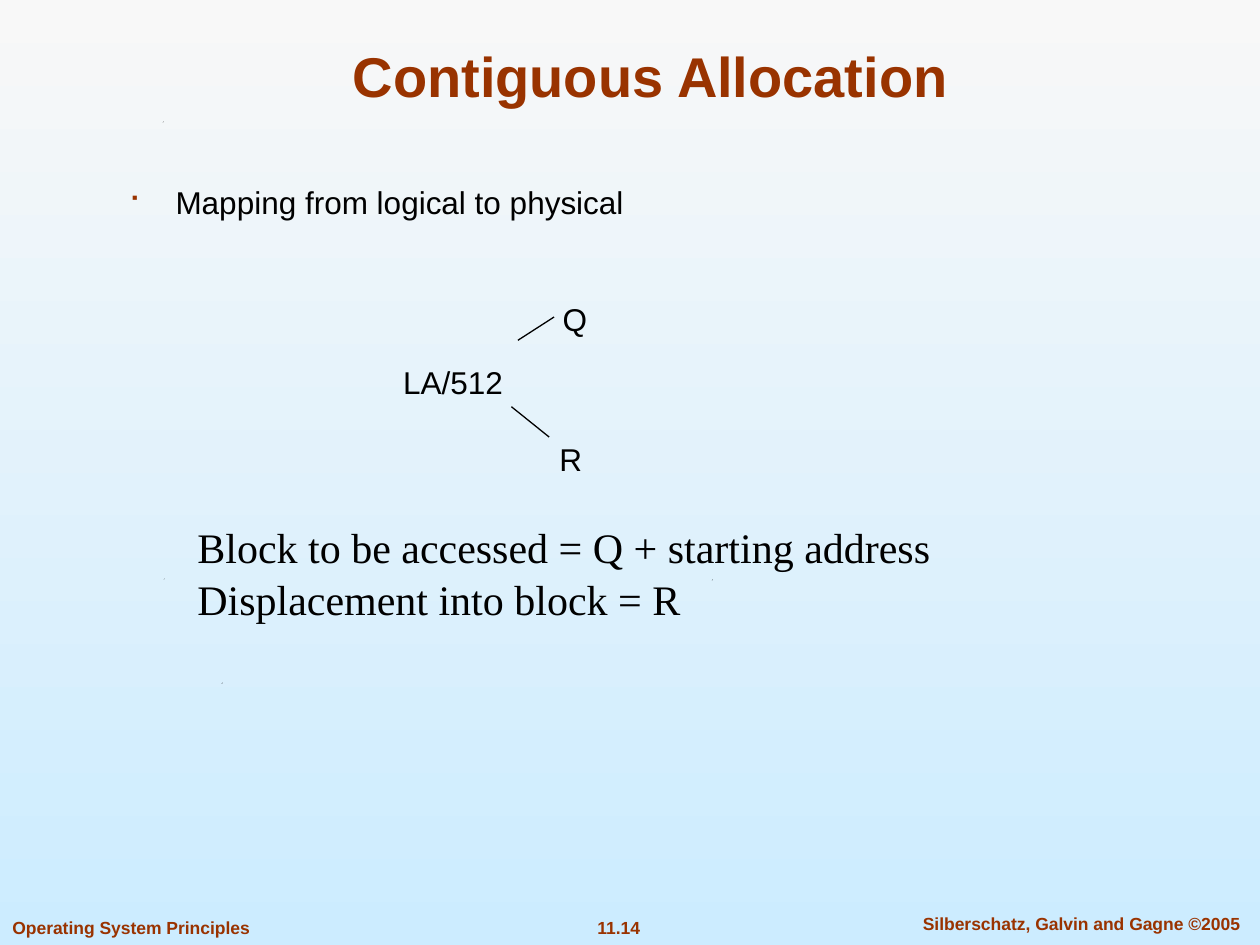
from lxml import etree
from pptx import Presentation
from pptx.dml.color import RGBColor
from pptx.enum.shapes import MSO_CONNECTOR
from pptx.enum.text import MSO_ANCHOR, PP_ALIGN
from pptx.oxml.ns import qn
from pptx.util import Cm, Pt

STRAIGHT = MSO_CONNECTOR.STRAIGHT
TOP, MIDDLE, BOTTOM = MSO_ANCHOR.TOP, MSO_ANCHOR.MIDDLE, MSO_ANCHOR.BOTTOM
LEFT, CENTER = PP_ALIGN.LEFT, PP_ALIGN.CENTER
RUST, BLACK = "993300", "000000"


def color(value):
    return RGBColor.from_string(value)


def add_text(box, lines, size, ink, bold=False, align=CENTER, anchor=TOP,
             face="Arial", margin=0, indent=0, bullet=None):
    frame = slide.shapes.add_textbox(*map(Cm, box)).text_frame
    frame.word_wrap = True
    frame.vertical_anchor = anchor
    frame.text = "\n".join(lines)
    for paragraph in frame.paragraphs:
        properties = paragraph._p.get_or_add_pPr()
        properties.set("marL", str(Cm(margin)))
        properties.set("indent", str(Cm(indent)))
        if bullet:
            tint = etree.SubElement(properties, qn("a:buClr"))
            etree.SubElement(tint, qn("a:srgbClr"), val=RUST)
            etree.SubElement(properties, qn("a:buSzPct"), val="90000")
            etree.SubElement(properties, qn("a:buFont"), typeface="Wingdings")
            etree.SubElement(properties, qn("a:buChar"), char=bullet)
        paragraph.alignment = align
        paragraph.font.size = Pt(size)
        paragraph.font.name = face
        paragraph.font.bold = bold
        paragraph.font.color.rgb = color(ink)
    return frame


deck = Presentation()
deck.slide_width, deck.slide_height = Cm(25.4), Cm(19.05)
slide = deck.slides.add_slide(deck.slide_layouts[6])

backdrop = slide.background.fill
backdrop.gradient()
backdrop.gradient_angle = 270
for stop, tone, position in zip(backdrop.gradient_stops, ("F8F8F8", "CCECFF"), (0, 1)):
    stop.color.rgb = color(tone)
    stop.position = position

for x, y in ((4.47, 13.78), (3.3, 11.68), (14.35, 11.7), (3.28, 2.47)):
    outline = slide.shapes.build_freeform(Cm(x), Cm(y))
    outline.add_line_segments([(Cm(x + 0.02), Cm(y - 0.02)), (Cm(x + 0.01), Cm(y))])
    speck = outline.convert_to_shape()
    speck.shadow.inherit = False
    speck.fill.solid()
    speck.fill.fore_color.rgb = color(BLACK)
    speck.line.fill.background()

for box, footer, align in (
    ((0, 18.37, 5.8, 0.68), "Operating System Principles", LEFT),
    ((11.13, 18.37, 2.69, 0.68), "11.14", CENTER),
    ((18.03, 18.29, 7.54, 0.68), "Silberschatz, Galvin and Gagne ©2005", CENTER),
):
    add_text(box, [footer], 10, RUST, bold=True, align=align)

add_text((1.9, 0.62, 22.43, 1.7), ["Contiguous Allocation"], 32, RUST,
         bold=True, anchor=BOTTOM)
add_text((2.34, 3.56, 18.24, 9.6), ["Mapping from logical to physical"], 18, BLACK,
         align=LEFT, margin=0.95, indent=-0.95, bullet="■")

for box, term in (
    ((7.38, 7.19, 3.51, 1.02), "LA/512"),
    ((10.47, 5.92, 2.24, 1.02), "Q"),
    ((10.63, 8.74, 1.75, 1.02), "R"),
):
    add_text(box, [term], 18, BLACK, anchor=MIDDLE)

for ends in ((10.44, 6.86, 11.17, 6.39), (10.31, 8.2, 11.07, 8.81)):
    branch = slide.shapes.add_connector(STRAIGHT, *map(Cm, ends))
    branch.line.color.rgb = color(BLACK)
    branch.line.width = Pt(0.75)
    etree.SubElement(branch._element.spPr, qn("a:effectLst"))

formulas = add_text(
    (2.46, 10.33, 19.53, 2.29),
    ["Block to be accessed = Q + starting address", "Displacement into block = R"],
    24, BLACK, align=LEFT, face="Times New Roman", margin=1.27)
for formula in formulas.paragraphs:
    formula.level = 1
    formula.line_spacing = 1.05

deck.save("out.pptx")
